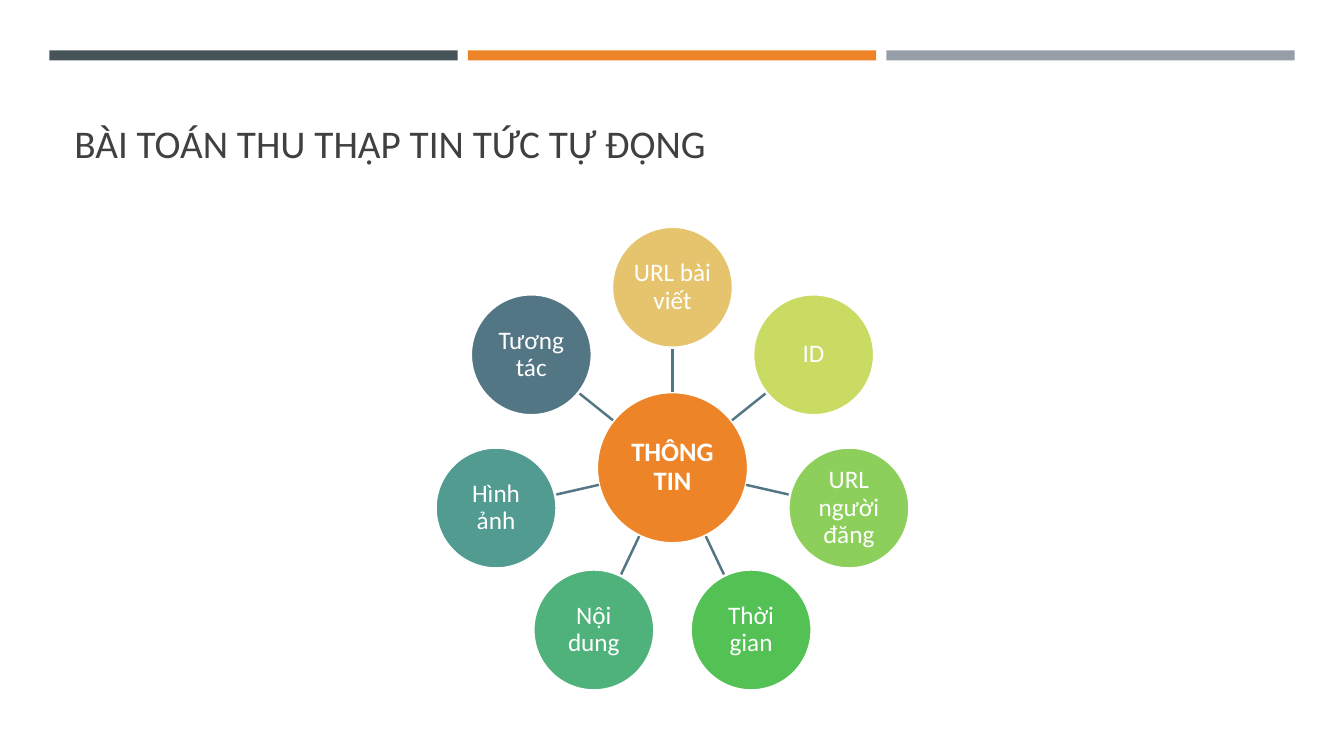
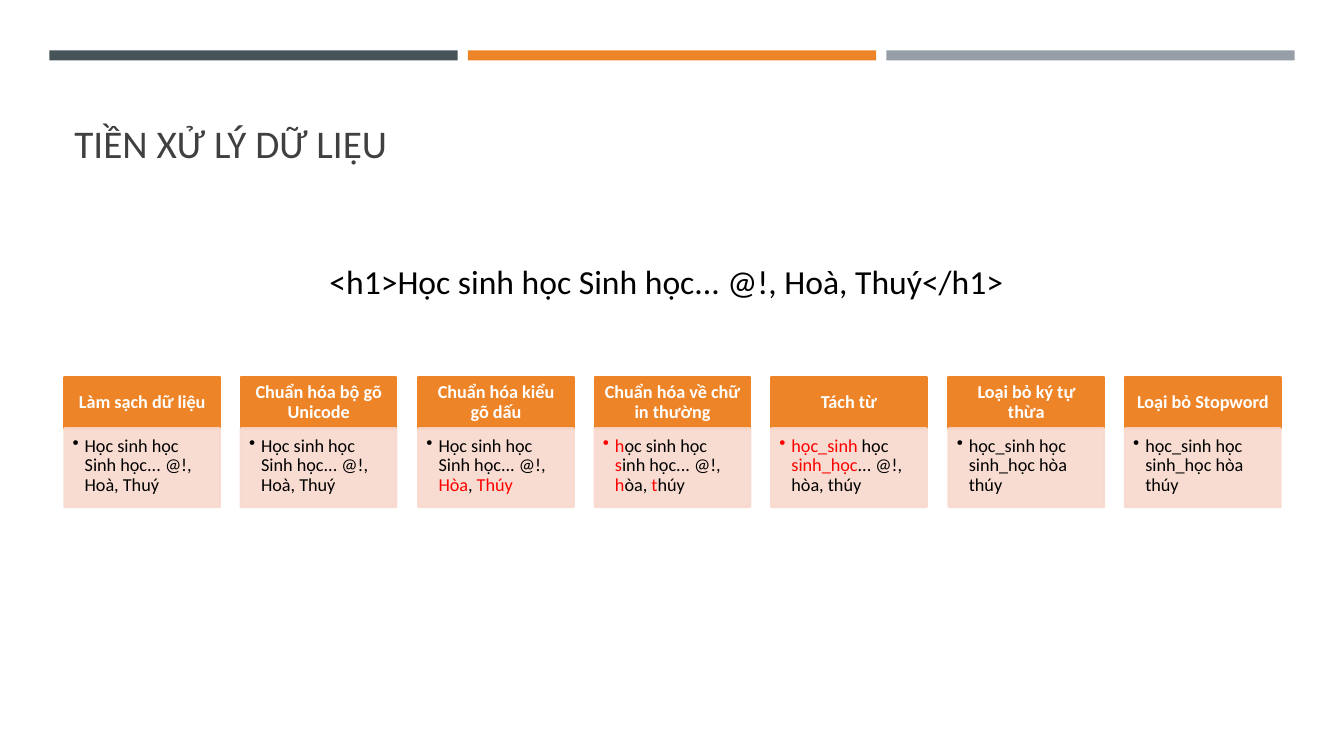
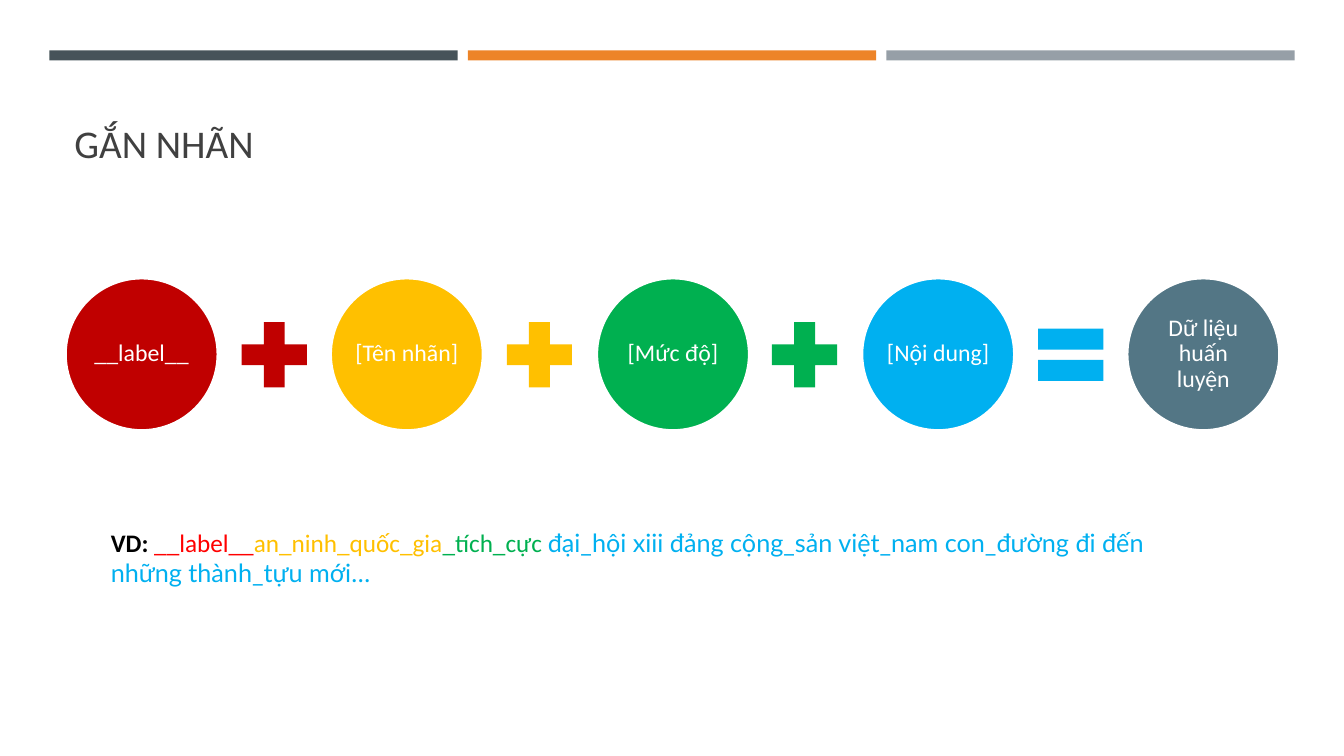
import math

import lxml.etree
import pptx
import pptx.dml.color
import pptx.enum.shapes
import pptx.enum.text
import pptx.oxml.ns
import pptx.util

RGB = pptx.dml.color.RGBColor
KIND = pptx.enum.shapes.MSO_SHAPE
ALIGN = pptx.enum.text.PP_ALIGN
ANCHOR = pptx.enum.text.MSO_ANCHOR
qn = pptx.oxml.ns.qn

WHITE = RGB(0xFF, 0xFF, 0xFF)
BLACK = RGB(0x00, 0x00, 0x00)
INK = RGB(0x40, 0x40, 0x40)
DARK = RGB(0x46, 0x53, 0x59)
ORANGE = RGB(0xED, 0x84, 0x28)
GREY = RGB(0x96, 0x9F, 0xA7)
STEEL = RGB(0x53, 0x76, 0x85)
SAND = RGB(0xE6, 0xC4, 0x6D)
LIME = RGB(0xC9, 0xDB, 0x63)
LEAF = RGB(0x8C, 0xCF, 0x5B)
GRASS = RGB(0x54, 0xC1, 0x55)
JADE = RGB(0x4F, 0xB2, 0x7B)
TEAL = RGB(0x51, 0x9B, 0x91)
PEACH = RGB(0xF8, 0xD9, 0xCD)
RED = RGB(0xFF, 0x00, 0x00)
BRICK = RGB(0xC0, 0x00, 0x00)
GOLD = RGB(0xFF, 0xC0, 0x00)
GREEN = RGB(0x00, 0xB0, 0x50)
BLUE = RGB(0x00, 0xB0, 0xF0)

SCALE = 9144
RULE = pptx.util.Pt(1.75)


def px(num):
    return pptx.util.Emu(round(num) * SCALE)


def put(obj, vals):
    for name, val in vals.items():
        setattr(obj, name, val)


class Deck:
    font = "Calibri"
    bands = (DARK, ORANGE, GREY)

    def __init__(self):
        self.show = pptx.Presentation()
        put(self.show, {"slide_width": px(1333), "slide_height": px(750)})
        self.slide = None

    def page(self, title):
        self.slide = self.show.slides.add_slide(self.show.slide_layouts[6])
        for i, tint in enumerate(self.bands):
            self.shape(KIND.RECTANGLE, (49 + 415 * i, 50, 405, 10), tint)
        self.label((64, 77, 1206, 130), title, 28, INK, anchor=ANCHOR.MIDDLE)

    def shape(self, kind, at, fill, line=None, alpha=None):
        item = self.slide.shapes.add_shape(kind, *map(px, at))
        item.shadow.inherit = False
        item.fill.solid()
        item.fill.fore_color.rgb = fill
        if line is None:
            item.line.fill.background()
        else:
            item.line.color.rgb = line
            item.line.width = RULE
        if alpha:
            for tint in item.element.spPr.iter(qn("a:srgbClr")):
                lxml.etree.SubElement(tint, qn("a:alpha"), val=str(alpha * 1000))
        return item

    def text(self, item, words, size, tint, bold=False, align=ALIGN.LEFT,
             anchor=ANCHOR.TOP, pad=(10, 5, 10, 5), space=1.0):
        frame = item.text_frame
        sides = ("margin_left", "margin_top", "margin_right", "margin_bottom")
        put(frame, dict(zip(sides, map(px, pad))))
        put(frame, {"word_wrap": True, "vertical_anchor": anchor})
        para = frame.paragraphs[0]
        put(para, {"alignment": align, "line_spacing": space})
        runs = [(words, {})] if isinstance(words, str) else words
        for part, extra in runs:
            run = para.add_run()
            run.text = part
            form = {"name": self.font, "size": pptx.util.Pt(size), "bold": bold}
            form.update(extra)
            run.font.color.rgb = form.pop("tint", tint)
            put(run.font, form)
        return para

    def label(self, at, words, size, tint, **form):
        item = self.slide.shapes.add_textbox(*map(px, at))
        self.text(item, words, size, tint, **form)

    def disc(self, mid, wide, fill, words, size, pad, bold=False):
        x, y = mid
        at = (x - wide / 2, y - wide / 2, wide, wide)
        item = self.shape(KIND.OVAL, at, fill, WHITE)
        self.text(item, words, size, WHITE, bold=bold, align=ALIGN.CENTER,
                  anchor=ANCHOR.MIDDLE, pad=(pad,) * 4, space=0.9)

    def spoke(self, start, end):
        link = self.slide.shapes.add_connector(
            pptx.enum.shapes.MSO_CONNECTOR.STRAIGHT, *map(px, start + end))
        link.line.color.rgb = STEEL
        link.line.width = RULE
        lxml.etree.SubElement(link.element.spPr, qn("a:effectLst"))

    def card(self, left, head, body):
        top = self.shape(KIND.RECTANGLE, (left, 374, 154, 51), ORANGE, ORANGE)
        self.text(top, head, 13, WHITE, bold=True, align=ALIGN.CENTER,
                  anchor=ANCHOR.MIDDLE, pad=(10, 6, 10, 6), space=0.9)
        base = self.shape(KIND.RECTANGLE, (left, 425, 154, 78), PEACH, PEACH, 90)
        para = self.text(base, body, 13, BLACK, pad=(8, 8, 10, 11), space=0.9)
        props = para._p.get_or_add_pPr()
        props.set("marL", str(px(12)))
        props.set("indent", str(px(-12)))
        lxml.etree.SubElement(props, qn("a:buChar"), char="•")


def polar(mid, far, turn):
    return (mid[0] + far * math.sin(turn), mid[1] - far * math.cos(turn))


def facts(deck):
    deck.page("BÀI TOÁN THU THẬP TIN TỨC TỰ ĐỘNG")
    hub = (667, 464)
    deck.disc(hub, 150, ORANGE, "THÔNG TIN", 19, 1, bold=True)
    parts = (
        ("URL bài viết", SAND), ("ID", LIME), ("URL người đăng", LEAF),
        ("Thời gian", GRASS), ("Nội dung", JADE), ("Hình ảnh", TEAL),
        ("Tương tác", STEEL),
    )
    for i, (name, tint) in enumerate(parts):
        turn = math.tau * i / len(parts)
        deck.spoke(polar(hub, 75, turn), polar(hub, 120, turn))
        deck.disc(polar(hub, 179, turn), 120, tint, name, 18, 1)


def steps(deck):
    deck.page("TIỀN XỬ LÝ DỮ LIỆU")
    red, plain = {"tint": RED}, {}
    raw = "Học sinh học Sinh học... @!, Hoà, Thuý"
    clean = "học_sinh học sinh_học hòa thúy"
    cards = (
        ("Làm sạch dữ liệu", raw),
        ("Chuẩn hóa bộ gõ Unicode", raw),
        ("Chuẩn hóa kiểu gõ dấu", (
            ("Học sinh học Sinh học... @!, ", plain), ("Hòa", red),
            (", ", plain), ("Thúy", red))),
        ("Chuẩn hóa về chữ in thường", (
            ("h", red), ("ọc sinh học ", plain), ("s", red),
            ("inh học... @!, ", plain), ("h", red), ("òa, ", plain),
            ("t", red), ("húy", plain))),
        ("Tách từ", (
            ("học_sinh ", red), ("học ", plain), ("sinh_học", red),
            ("... @!, hòa, thúy", plain))),
        ("Loại bỏ ký tự thừa", clean),
        ("Loại bỏ Stopword", clean),
    )
    for i, (head, body) in enumerate(cards):
        deck.card(64 + 175.33 * i, head, body)
    deck.label((165, 254, 992, 50), f"<h1>{raw}</h1>", 24, BLACK,
               align=ALIGN.CENTER)


def labels(deck):
    deck.page("GẮN NHÃN")
    plus, equal = KIND.MATH_PLUS, KIND.MATH_EQUAL
    terms = (
        ("__label__", BRICK, plus), ("[Tên nhãn]", GOLD, plus),
        ("[Mức độ]", GREEN, plus), ("[Nội dung]", BLUE, equal),
        ("Dữ liệu huấn luyện", STEEL, None),
    )
    for i, (name, tint, sign) in enumerate(terms):
        x = 140.5 + 263.25 * i
        deck.disc((x, 351.5), 151, tint, name, 17, 2)
        if sign is not None:
            deck.shape(sign, (x + 87.5, 308, 88, 88), tint)
    deck.label((100, 518, 1092, 71), (
        ("VD: ", {"bold": True}),
        ("__label__", {"tint": RED}),
        ("an_ninh_quốc_gia", {"tint": GOLD}),
        ("_tích_cực ", {"tint": GREEN}),
        ("đại_hội xiii đảng cộng_sản việt_nam con_đường đi đến "
         "những thành_tựu mới…", {"tint": BLUE, "name": "Lato"}),
    ), 18, BLACK)


def main():
    deck = Deck()
    for build in (facts, steps, labels):
        build(deck)
    deck.show.save("out.pptx")


if __name__ == "__main__":
    main()
